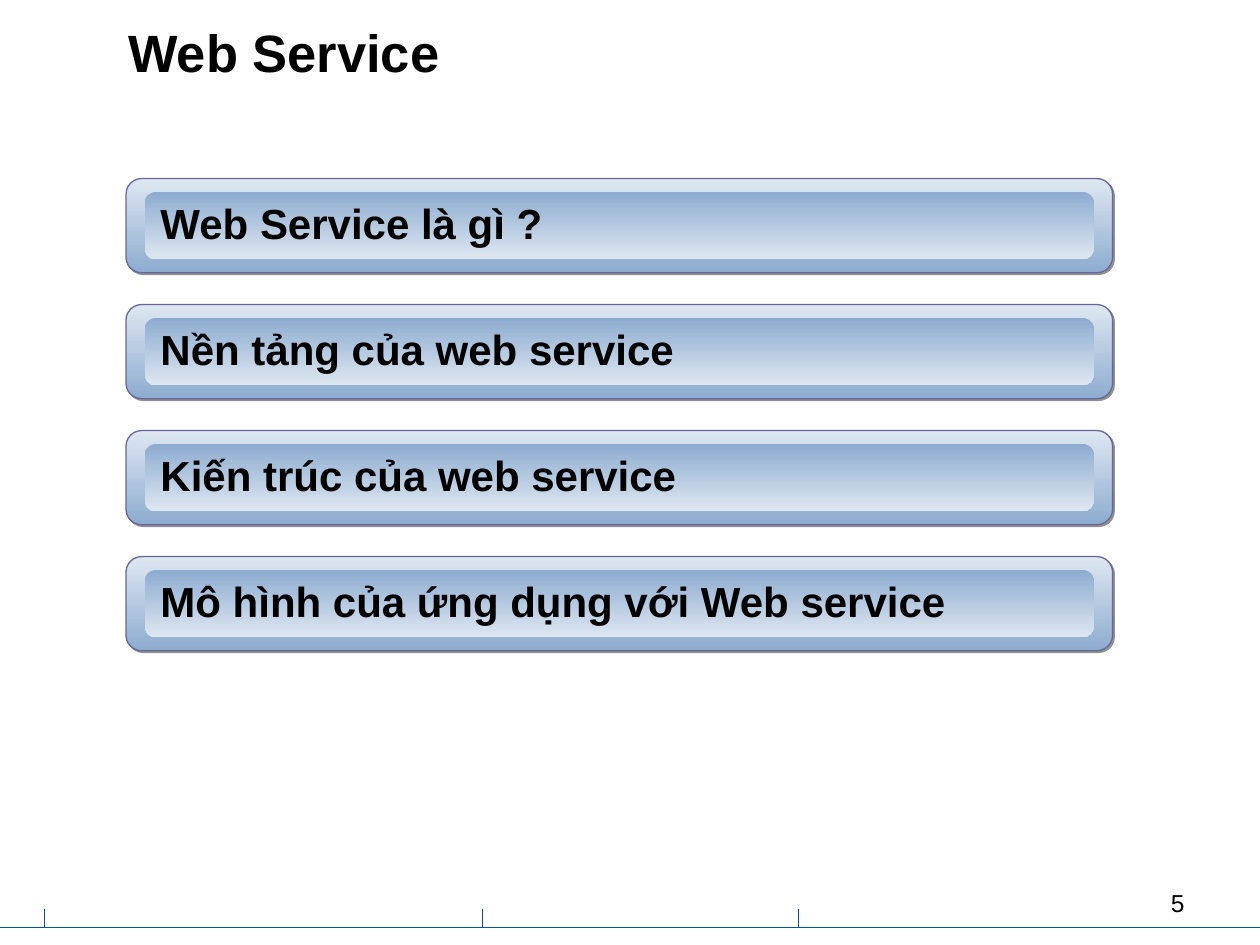
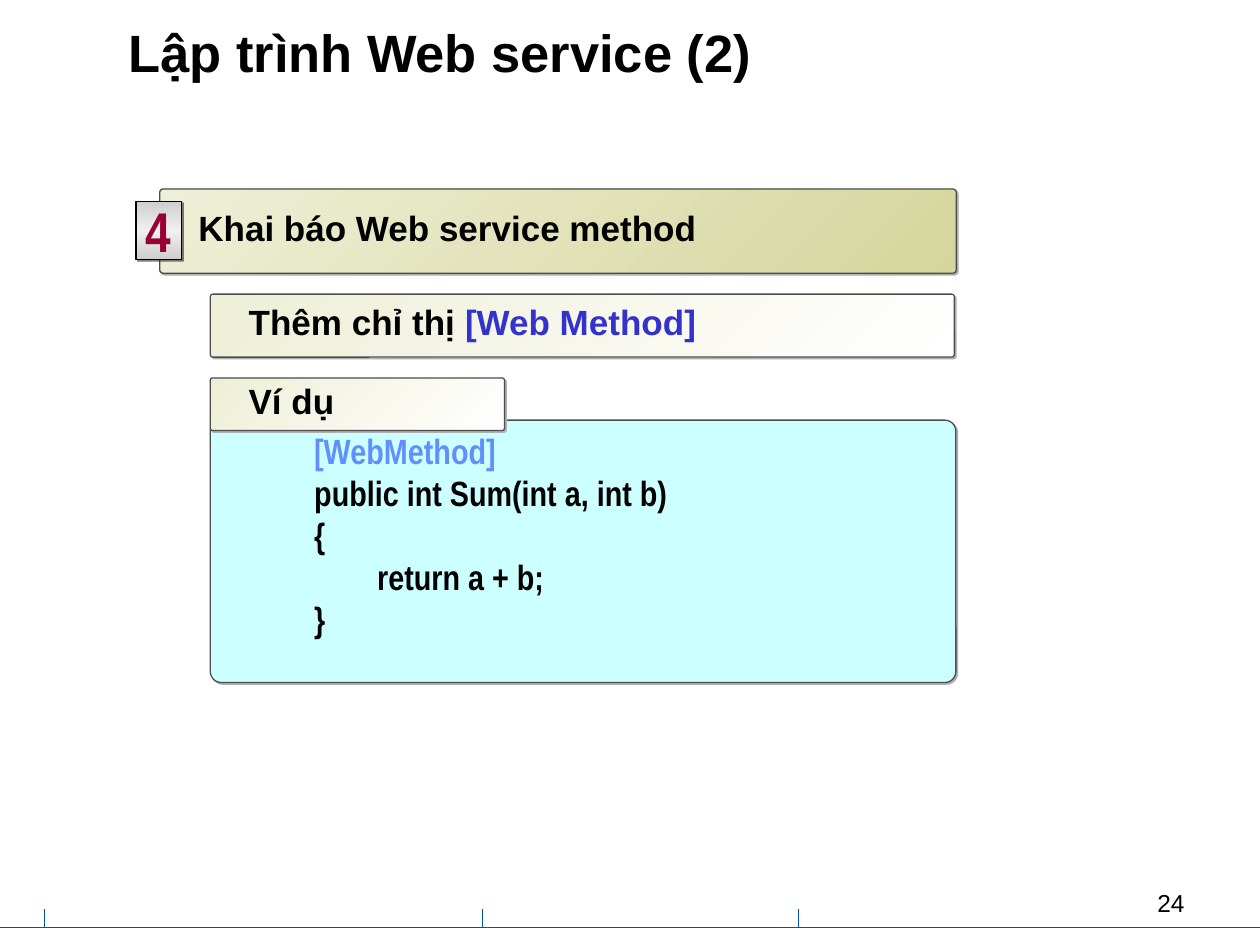
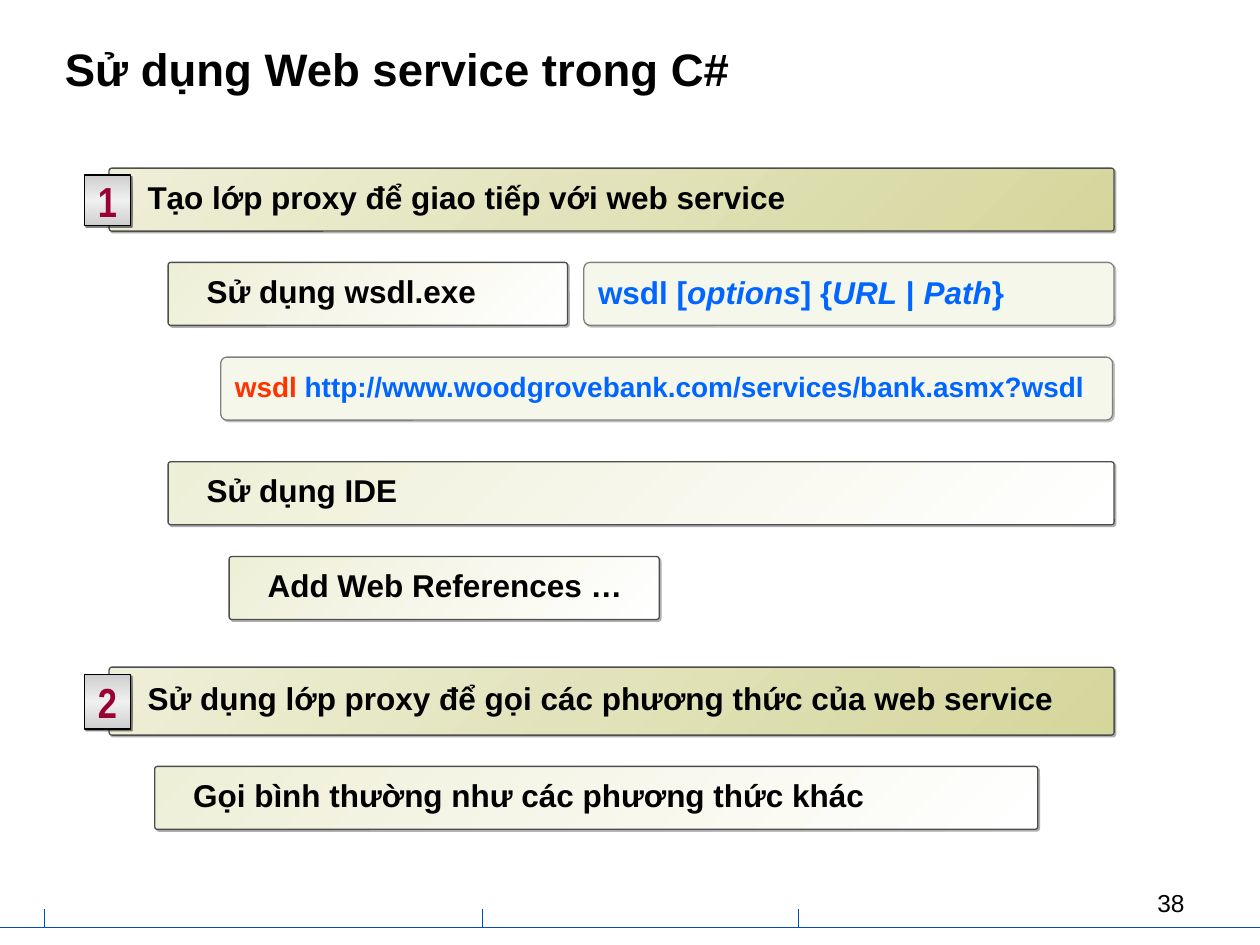
from copy import deepcopy
from dataclasses import dataclass

from lxml.etree import SubElement
from pptx import Presentation
from pptx.dml.color import RGBColor
from pptx.enum.shapes import MSO_CONNECTOR, MSO_SHAPE
from pptx.enum.text import MSO_ANCHOR, PP_ALIGN
from pptx.oxml.ns import qn
from pptx.util import Cm, Pt

BLACK = RGBColor(0x00, 0x00, 0x00)
WHITE = RGBColor(0xFF, 0xFF, 0xFF)
FOOTER_BLUE = RGBColor(0x02, 0x51, 0xB8)
PALE_BLUE = RGBColor(0xDE, 0xE7, 0xF1)
STEEL_BLUE = RGBColor(0x8D, 0xAC, 0xD0)
PURPLE_GREY = RGBColor(0x66, 0x66, 0x99)
OLIVE = RGBColor(0xD5, 0xD6, 0x9C)
CREAM = RGBColor(0xEE, 0xEF, 0xD7)
IVORY = RGBColor(0xF6, 0xF7, 0xEB)
CYAN = RGBColor(0xCC, 0xFF, 0xFF)
DARK_GREY = RGBColor(0x4D, 0x4D, 0x4D)
MID_GREY = RGBColor(0x80, 0x80, 0x80)
SILVER = RGBColor(0xCE, 0xCE, 0xCE)
LIGHT_SILVER = RGBColor(0xF0, 0xF0, 0xF0)
SHADOW_DARK = RGBColor(0x91, 0x91, 0x91)
SHADOW_MID = RGBColor(0xAF, 0xAF, 0xAF)
SHADOW_LIGHT = RGBColor(0xC0, 0xC0, 0xC0)
CRIMSON = RGBColor(0x99, 0x00, 0x33)
INDIGO = RGBColor(0x33, 0x33, 0xCC)
SKY = RGBColor(0x61, 0x8F, 0xFD)
LINK_BLUE = RGBColor(0x00, 0x66, 0xFF)
ORANGE = RGBColor(0xFF, 0x33, 0x00)


@dataclass
class Style:
    colours: tuple
    angle: int = 135
    line: RGBColor = DARK_GREY
    shadow: RGBColor = SHADOW_MID
    opacity: int = 100
    corner: float = 0.042
    inset: float = 0.76


FRAME = Style((PALE_BLUE, STEEL_BLUE), 270, PURPLE_GREY, SHADOW_DARK, corner=0.167)
PLATE = Style((STEEL_BLUE, PALE_BLUE), 270, None, None, corner=0.167, inset=0.25)
STEP = Style((OLIVE, CREAM))
DETAIL = Style((WHITE, CREAM))
CODE = Style((CYAN,))
COMMAND = Style((IVORY,), line=MID_GREY, shadow=SHADOW_LIGHT, corner=0.098, inset=0.25)
BADGE = Style((SILVER, LIGHT_SILVER, SILVER), 270, BLACK, BLACK, 50, 0, 0.25)


def paint(sp, style):
    fill = sp.fill
    if len(style.colours) == 1:
        fill.solid()
        fill.fore_color.rgb = style.colours[0]
        return
    fill.gradient()
    fill.gradient_angle = style.angle
    stop_list = sp._element.spPr.find(".//" + qn("a:gsLst"))
    while len(stop_list) < len(style.colours):
        stop_list.append(deepcopy(stop_list[0]))
    last = len(style.colours) - 1
    for i, (stop, colour) in enumerate(zip(fill.gradient_stops, style.colours)):
        stop.position = i / last
        stop.color.rgb = colour


def add_shadow(sp, colour, opacity):
    effects = sp._element.spPr.find(qn("a:effectLst"))
    shadow = SubElement(effects, qn("a:outerShdw"), dist=str(Pt(1.4)),
                        dir="2700000", algn="ctr", rotWithShape="0")
    tint = SubElement(shadow, qn("a:srgbClr"), val=str(colour))
    SubElement(tint, qn("a:alpha"), val=str(opacity * 1000))


def add_box(s, left, top, width, height, style):
    preset = MSO_SHAPE.ROUNDED_RECTANGLE if style.corner else MSO_SHAPE.RECTANGLE
    sp = s.shapes.add_shape(preset, Cm(left), Cm(top), Cm(width), Cm(height))
    if style.corner:
        sp.adjustments[0] = style.corner
    sp.shadow.inherit = False
    paint(sp, style)
    if style.line is None:
        sp.line.fill.background()
    else:
        sp.line.color.rgb = style.line
        sp.line.width = Pt(0.75)
    if style.shadow is not None:
        add_shadow(sp, style.shadow, style.opacity)
    tf = sp.text_frame
    tf.margin_left = Cm(style.inset)
    tf.vertical_anchor = MSO_ANCHOR.MIDDLE
    return sp


def format_run(r, size, colour=BLACK, name="Arial", bold=True, italic=False):
    r.font.name = name
    r.font.size = Pt(size)
    r.font.bold = bold
    r.font.italic = italic
    r.font.color.rgb = colour


def add_label(s, left, top, width, height, style, parts, size, spacing):
    sp = add_box(s, left, top, width, height, style)
    p = sp.text_frame.paragraphs[0]
    p.alignment = PP_ALIGN.LEFT
    p.line_spacing = spacing
    for text, colour, italic in parts:
        r = p.add_run()
        r.text = text
        format_run(r, size, colour, italic=italic)


def plain(text):
    return [(text, BLACK, False)]


def add_text(s, left, top, width, height, text, size, bold):
    sp = s.shapes.add_textbox(Cm(left), Cm(top), Cm(width), Cm(height))
    tf = sp.text_frame
    tf.word_wrap = True
    tf.text = text
    p = tf.paragraphs[0]
    format_run(p.runs[0], size, bold=bold)
    return tf, p


def add_title(s, text, left=2.34, top=0.2, width=20.52, height=1.9, size=30):
    tf, p = add_text(s, left, top, width, height, text, size, True)
    tf.vertical_anchor = MSO_ANCHOR.MIDDLE
    p.line_spacing = 0.8


def add_rule(s, x1, y1, x2, y2):
    rule = s.shapes.add_connector(MSO_CONNECTOR.STRAIGHT, Cm(x1), Cm(y1), Cm(x2), Cm(y2))
    rule.line.color.rgb = FOOTER_BLUE
    rule.line.width = Pt(0.75)
    SubElement(rule._element.spPr, qn("a:effectLst"))


def add_footer(s, number):
    baseline = 18.7
    add_rule(s, 25.4, baseline, 0, baseline)
    for x in (0.89, 9.72, 16.09):
        add_rule(s, x, baseline, x, 18.33)
    tf, p = add_text(s, 18.2, 17.78, 5.93, 0.86, str(number), 14, False)
    p.alignment = PP_ALIGN.RIGHT


def add_badge(s, left, top, width, height, number, size):
    sp = add_box(s, left, top, width, height, BADGE)
    tf = sp.text_frame
    tf.word_wrap = False
    tf.text = str(number)
    p = tf.paragraphs[0]
    p.alignment = PP_ALIGN.CENTER
    format_run(p.runs[0], size, CRIMSON, "Arial Narrow")


def add_code(s, left, top, width, height, lines):
    sp = add_box(s, left, top, width, height, CODE)
    tf = sp.text_frame
    tf.vertical_anchor = MSO_ANCHOR.TOP
    tf.text = "\n".join(lines)
    for i, p in enumerate(tf.paragraphs):
        p.alignment = PP_ALIGN.LEFT
        pPr = p._p.get_or_add_pPr()
        pPr.set("marL", str(Cm(1.27)))
        pPr.set("indent", "0")
        tabs = SubElement(pPr, qn("a:tabLst"))
        SubElement(tabs, qn("a:tab"), pos=str(Cm(2.54)), algn="l")
        for r in p.runs:
            format_run(r, 20, BLACK if i else SKY, "Arial Narrow")


def build_agenda(s):
    add_title(s, "Web Service")
    topics = ("Web Service là gì ?", "Nền tảng của web service",
              "Kiến trúc của web service", "Mô hình của ứng dụng với Web service")
    for i, topic in enumerate(topics):
        top = 3.6 + 2.54 * i
        add_box(s, 2.54, top, 19.89, 1.9, FRAME)
        add_label(s, 2.92, top + 0.27, 19.13, 1.36, PLATE, plain(topic), 24, 0.9)


def build_method(s):
    add_title(s, "Lập trình Web service (2)")
    add_label(s, 3.22, 3.81, 16.06, 1.7, STEP, plain("Khai báo Web service method"), 20, 0.8)
    add_badge(s, 2.74, 4.06, 0.92, 1.17, 4, 32)
    directive = plain("Thêm chỉ thị ") + [("[Web Method]", INDIGO, False)]
    add_label(s, 4.24, 5.93, 15, 1.27, DETAIL, directive, 20, 0.8)
    add_code(s, 4.24, 8.47, 15.03, 5.29,
             ("[WebMethod]", "public int Sum(int a, int b)", "{", "\treturn a + b;", "}"))
    add_label(s, 4.24, 7.62, 5.93, 1.06, DETAIL, plain("Ví dụ"), 20, 0.8)


def build_usage(s):
    add_title(s, "Sử dụng Web service trong C#", 1.06, 0.42, 23.07, 2.12, 26)
    steps = (
        (3.39, 1.27, 3.53, 1.02, "Tạo lớp proxy để giao tiếp với web service"),
        (13.45, 1.37, 13.6, 1.1, "Sử dụng lớp proxy để gọi các phương thức của web service"),
    )
    for number, (top, height, badge_top, badge_height, text) in enumerate(steps, 1):
        add_label(s, 2.2, top, 20.26, height, STEP, plain(text), 18, 0.85)
        add_badge(s, 1.7, badge_top, 0.93, badge_height, number, 24)
    details = (
        (3.39, 5.29, 8.05, "Sử dụng wsdl.exe"),
        (3.39, 9.31, 19.07, "Sử dụng IDE"),
        (3.12, 15.45, 17.8, "Gọi bình thường như các phương thức khác"),
        (4.62, 11.22, 8.67, "Add Web References …"),
    )
    for left, top, width, text in details:
        add_label(s, left, top, width, 1.27, DETAIL, plain(text), 18, 0.85)
    syntax = ("wsdl [", "options", "] {", "URL", " | ", "Path", "}")
    syntax_parts = [(text, LINK_BLUE, i % 2 == 1) for i, text in enumerate(syntax)]
    add_label(s, 11.77, 5.29, 10.69, 1.27, COMMAND, syntax_parts, 18, 0.9)
    example = [("wsdl ", ORANGE, False),
               ("http://www.woodgrovebank.com/services/bank.asmx?wsdl", LINK_BLUE, False)]
    add_label(s, 4.45, 7.2, 17.98, 1.27, COMMAND, example, 16, 0.9)


def main():
    prs = Presentation()
    prs.slide_width, prs.slide_height = Cm(25.4), Cm(19.05)
    for build, number in ((build_agenda, 5), (build_method, 24), (build_usage, 38)):
        s = prs.slides.add_slide(prs.slide_layouts[6])
        add_footer(s, number)
        build(s)
    prs.save("out.pptx")


if __name__ == "__main__":
    main()
